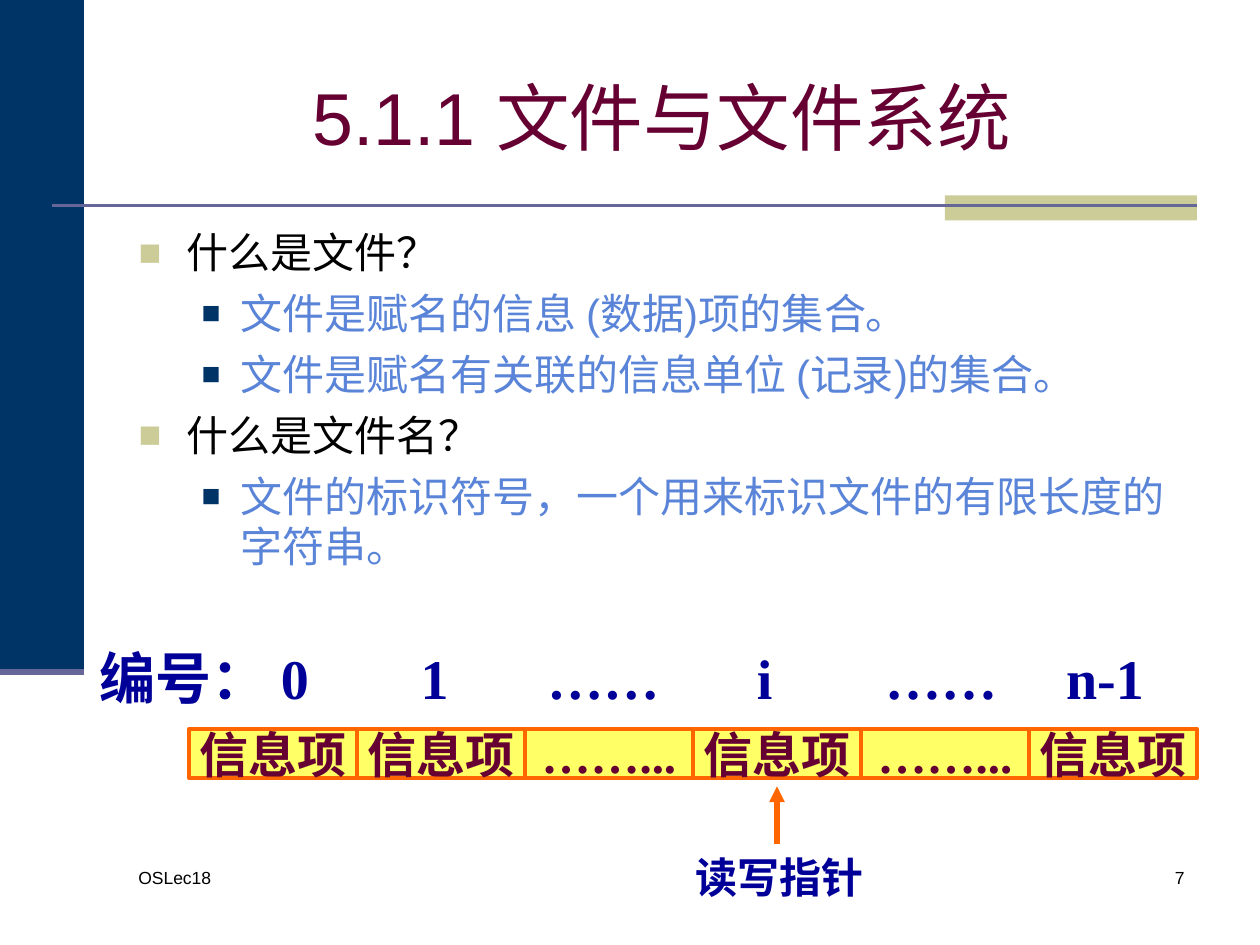
from dataclasses import dataclass

from lxml.etree import SubElement
from pptx import Presentation
from pptx.dml.color import RGBColor
from pptx.enum.shapes import MSO_CONNECTOR as Connector, MSO_SHAPE as Shape
from pptx.enum.text import MSO_ANCHOR as Anchor, MSO_AUTO_SIZE as AutoSize, PP_ALIGN as Align
from pptx.oxml.ns import qn
from pptx.util import Inches, Pt


@dataclass(frozen=True)
class Theme:
    navy: str = "003366"
    sand: str = "CCCC99"
    slate: str = "666699"
    wine: str = "660033"
    black: str = "000000"
    sky: str = "5A84D8"
    yellow: str = "FFFF66"
    orange: str = "FF6600"
    blue: str = "000099"
    sans: str = "Arial"
    serif: str = "Times New Roman"
    title_size: float = 42
    index_size: float = 32
    item_size: float = 28
    body_size: float = 24
    footer_size: float = 10


class SlideBuilder:
    COLUMNS, ROWS = 60, 45

    def __init__(self, deck, theme):
        self.theme = theme
        self.column = deck.slide_width / self.COLUMNS
        self.row = deck.slide_height / self.ROWS
        self.slide = deck.slides.add_slide(deck.slide_layouts[1])

    def grid(self, left, top, width, height):
        return [int(n * unit) for n, unit in zip((left, top, width, height), (self.column, self.row) * 2)]

    def style(self, paragraph, size, color, face, bold=False, align=Align.LEFT):
        paragraph.alignment = align
        font = paragraph.font
        font.size, font.name, font.bold = Pt(size), face, bold
        font.color.rgb = RGBColor.from_string(color)

    def place(self, placeholder, cells, anchor):
        placeholder.left, placeholder.top, placeholder.width, placeholder.height = self.grid(*cells)
        frame = placeholder.text_frame
        frame.auto_size, frame.vertical_anchor = AutoSize.NONE, anchor
        return frame

    def title(self, cells, wording):
        frame = self.place(self.slide.shapes.title, cells, Anchor.MIDDLE)
        frame.text = wording
        self.style(frame.paragraphs[0], self.theme.title_size, self.theme.wine, self.theme.sans, align=Align.CENTER)

    def bullet(self, paragraph, indent, hanging, color, percent):
        props = paragraph._p.get_or_add_pPr()
        props.set("marL", str(Inches(indent)))
        props.set("indent", str(-Inches(hanging)))
        SubElement(SubElement(props, qn("a:buClr")), qn("a:srgbClr"), val=color)
        SubElement(props, qn("a:buSzPct"), val=str(percent * 1000))
        SubElement(props, qn("a:buChar"), char="■")

    def outline(self, cells, entries):
        theme = self.theme
        levels = [(theme.black, (0.38, 0.38, theme.sand, 90)), (theme.sky, (0.81, 0.31, theme.navy, 75))]
        frame = self.place(self.slide.placeholders[1], cells, Anchor.TOP)
        for number, (level, wording) in enumerate(entries):
            entry = frame.add_paragraph() if number else frame.paragraphs[0]
            color, marker = levels[level]
            entry.text, entry.level = wording, level
            self.bullet(entry, *marker)
            entry.space_before = Pt(6 if number else 0)
            self.style(entry, theme.body_size, color, theme.sans)

    def box(self, cells, fill, edge=None):
        block = self.slide.shapes.add_shape(Shape.RECTANGLE, *self.grid(*cells))
        block.shadow.inherit = False
        block.fill.solid()
        block.fill.fore_color.rgb = RGBColor.from_string(fill)
        if edge:
            block.line.color.rgb = RGBColor.from_string(edge)
            block.line.width = Pt(2.25)
        else:
            block.line.fill.background()
        return block

    def record(self, cells, wording):
        theme = self.theme
        frame = self.box(cells, theme.yellow, theme.orange).text_frame
        frame.word_wrap, frame.vertical_anchor = False, Anchor.MIDDLE
        frame.text = wording
        self.style(frame.paragraphs[0], theme.item_size, theme.wine, theme.serif, True, Align.CENTER)

    def text(self, cells, wording, *style, anchor=Anchor.TOP, stops=(), **options):
        frame = self.slide.shapes.add_textbox(*self.grid(*cells)).text_frame
        frame.word_wrap, frame.vertical_anchor = True, anchor
        frame.text = wording
        paragraph = frame.paragraphs[0]
        if stops:
            frame.margin_right = 0
            tabs = SubElement(paragraph._p.get_or_add_pPr(), qn("a:tabLst"))
            for stop in stops:
                SubElement(tabs, qn("a:tab"), pos=str(Inches(stop)), algn="ctr")
        self.style(paragraph, *style, **options)

    def line(self, ends, color, weight, arrow=False):
        rule = self.slide.shapes.add_connector(Connector.STRAIGHT, *self.grid(*ends))
        rule.line.color.rgb = RGBColor.from_string(color)
        rule.line.width = Pt(weight)
        if arrow:
            SubElement(rule.line._get_or_add_ln(), qn("a:tailEnd"), type="triangle")
        SubElement(rule._element.spPr, qn("a:effectLst"))


def main():
    deck = Presentation()
    deck.slide_width, deck.slide_height = Inches(10), Inches(7.5)
    theme = Theme()
    page = SlideBuilder(deck, theme)

    page.box((0, 0, 4, 32), theme.navy)
    page.box((45, 9.3, 12, 1.2), theme.sand)
    page.line((2.5, 9.8, 57, 9.8), theme.slate, 1.5)
    page.line((0, 32, 4, 32), theme.slate, 3.5)

    page.title((6, 1.8, 51, 7.5), "5.1.1 文件与文件系统")
    page.outline((6, 10.5, 51, 29.7), [
        (0, "什么是文件？"),
        (1, "文件是赋名的信息 (数据)项的集合。"),
        (1, "文件是赋名有关联的信息单位 (记录)的集合。"),
        (0, "什么是文件名？"),
        (1, "文件的标识符号，一个用来标识文件的有限长度的字符串。"),
    ])

    item, gap = "信息项", "……..."
    for position, wording in enumerate([item, item, gap, item, gap, item]):
        page.record((9 + 8 * position, 34.7, 8, 2.35), wording)

    indices = ["编号：", "0", "1", "……", "i", "……", "n-1"]
    page.text((4.15, 30.3, 51, 3.85), "\t".join(indices), theme.index_size, theme.blue, theme.serif, True,
              anchor=Anchor.MIDDLE, stops=(1.55, 2.66, 4, 5.28, 6.68, 7.98))
    page.text((32.5, 40.25, 9.2, 3), "读写指针", theme.body_size, theme.blue, theme.serif, True,
              anchor=Anchor.MIDDLE, align=Align.CENTER)
    page.line((37, 40.2, 37, 37.45), theme.orange, 3, arrow=True)

    footer = theme.footer_size, theme.black, theme.sans
    page.text((6, 41, 13, 3), "OSLec18", *footer)
    page.text((44.5, 41, 12.5, 3), "7", *footer, align=Align.RIGHT)

    deck.save("out.pptx")


if __name__ == "__main__":
    main()
